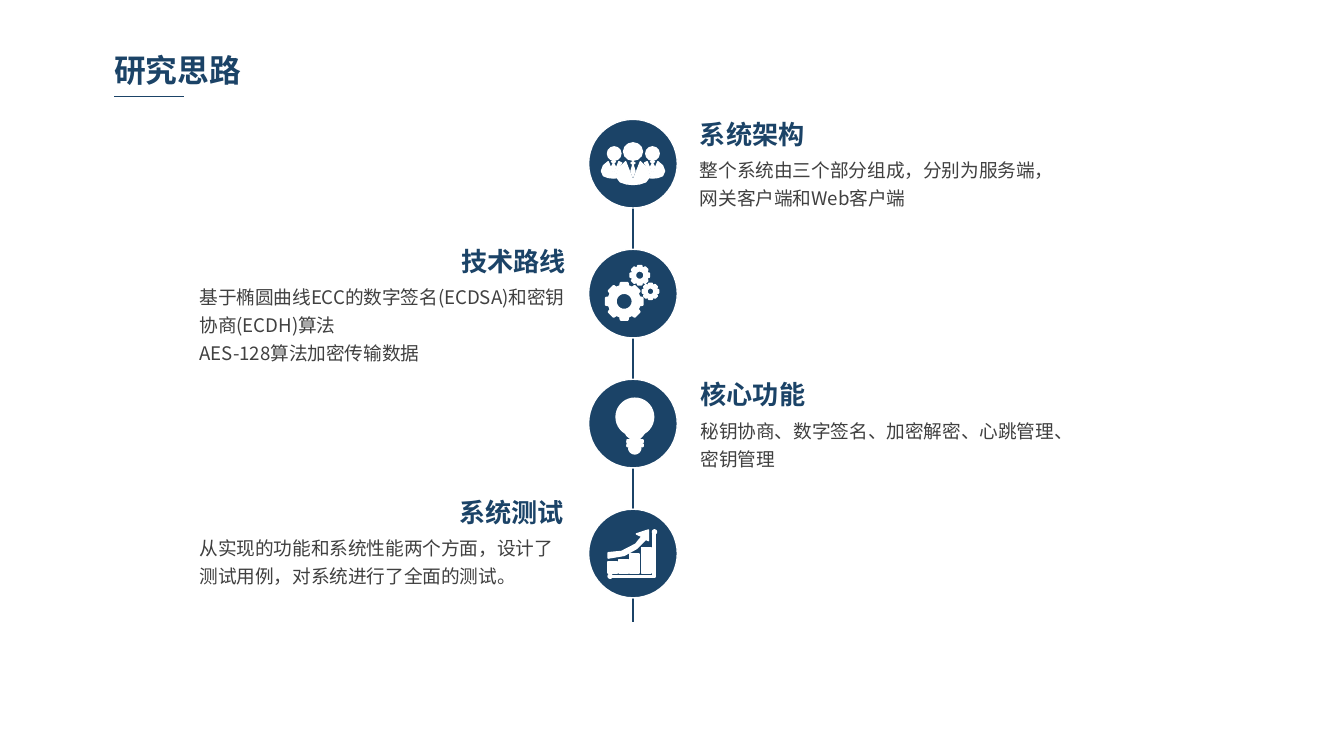
from math import cos, sin, radians

from lxml.etree import SubElement
from pptx import Presentation
from pptx.dml.color import RGBColor
from pptx.enum.shapes import MSO_CONNECTOR, MSO_SHAPE
from pptx.enum.text import MSO_AUTO_SIZE, PP_ALIGN
from pptx.oxml.ns import qn
from pptx.util import Inches, Pt

NAVY = RGBColor(0x1B, 0x43, 0x67)
GRAY = RGBColor(0x40, 0x40, 0x40)
WHITE = RGBColor(0xFF, 0xFF, 0xFF)
FONT = "Noto Sans CJK SC"

prs = Presentation()
prs.slide_width = Inches(10)
prs.slide_height = prs.slide_width * 9 // 16
s = prs.slides.add_slide(prs.slide_layouts[6])

# Square grid: 1000 columns across the slide
U = prs.slide_width // 1000
CX, CY, PITCH, DIAMETER = 471, 121.8, 96.7, 66


def add_text(box, paragraphs, size, color, bold=False, align=PP_ALIGN.LEFT, spacing=None):
    sp = s.shapes.add_textbox(*(int(v * U) for v in box))
    tf = sp.text_frame
    tf.word_wrap = True
    tf.auto_size = MSO_AUTO_SIZE.SHAPE_TO_FIT_TEXT
    tf.text = "\n".join(paragraphs)
    for p in tf.paragraphs:
        p.alignment = align
        p.line_spacing = spacing
        for r in p.runs:
            r.font.size, r.font.bold, r.font.name = Pt(size), bold, FONT
            r.font.color.rgb = color
            SubElement(r.font._element, qn("a:ea"), typeface=FONT)
    return tf


def paint(sp, color=WHITE, weight=0.75):
    sp.shadow.inherit = False
    sp.fill.solid()
    sp.fill.fore_color.rgb = color
    sp.line.color.rgb = WHITE
    sp.line.width = Pt(weight)


# Timeline spine and title rule
for x1, y1, x2, y2 in [(CX, 96, CX, 463), (85, 72, 137, 72)]:
    line = s.shapes.add_connector(MSO_CONNECTOR.STRAIGHT, x1 * U, y1 * U, x2 * U, y2 * U)
    line.line.color.rgb = NAVY
    line.line.width = Pt(0.75)
    SubElement(line._element.spPr, qn("a:effectLst"))

tf = add_text((78, 34, 247, 36), ["研究思路"], 17, NAVY, True)
tf.margin_left = tf.margin_right = 7 * U
tf.margin_top = tf.margin_bottom = 4 * U

# Timeline entries: heading box, heading, body box, body paragraphs
entries = [
    ((511, 85.4, 158, 31), "系统架构", (511, 109, 295, 52),
     ["整个系统由三个部分组成，分别为服务端，网关客户端和Web客户端"]),
    ((286, 180, 145, 31), "技术路线", (138.6, 204, 295, 73),
     ["基于椭圆曲线ECC的数字签名(ECDSA)和密钥协商(ECDH)算法", "AES-128算法加密传输数据"]),
    ((511.4, 279, 171, 31), "核心功能", (511.4, 303, 295, 52),
     ["秘钥协商、数字签名、加密解密、心跳管理、密钥管理"]),
    ((277.6, 367, 152, 31), "系统测试", (138.6, 390.4, 295, 52),
     ["从实现的功能和系统性能两个方面，设计了测试用例，对系统进行了全面的测试。"]),
]
for i, (head_box, heading, body_box, body) in enumerate(entries):
    add_text(body_box, body, 10, GRAY, spacing=Pt(15))
    align = PP_ALIGN.RIGHT if i % 2 else PP_ALIGN.LEFT
    add_text(head_box, [heading], 14, NAVY, True, align, Pt(15))

# Icon parts are given in grid units from the centre of their circle
PEOPLE, GEARS, BULB, CHART = range(4)
OVAL, RECT, ROUND = MSO_SHAPE.OVAL, MSO_SHAPE.RECTANGLE, MSO_SHAPE.ROUNDED_RECTANGLE
presets = [
    (PEOPLE, OVAL, [(-7, -15.5, 14, 13), (-19, -12.5, 10, 10), (9.5, -12.5, 10, 10)]),
    (BULB, ROUND, [(-4.5, 12.1, 12, 2), (-4.5, 15.1, 12, 2)]),
    (CHART, RECT, [(-18.5, 6.4, 7, 8), (-10.5, 4.4, 7, 10), (-2.5, 0.4, 7, 14),
                   (6.5, -4.6, 7, 19)]),
    (CHART, OVAL, [(14.5, -17.6, 3, 3), (-18.5, 15.4, 3, 3)]),
]

side_body = [(-13.5, 9.5), (-11.5, 4), (-8.5, -0.5), (-10.5, -1.5), (-14.5, 8.5),
             (-18.5, -1.5), (-22, 1.5), (-23.5, 5.5), (-22, 9), (-18.5, 10.3),
             (-14.5, 10.7), (-12.5, 10.5)]
front_body = [(12.5, 9.5), (10.8, 4), (5.5, -1.5), (0, 12.5), (-5.5, -1.5),
              (-10.8, 4), (-12.5, 9.5), (-9.5, 13.5), (-5, 15), (0, 15.5),
              (5, 15), (9.5, 13.5)]
globe = [(1.4 + 14 * cos(radians(a)), -4.9 + 14 * sin(radians(a)))
         for a in range(120, 421, 10)]
neck = [(7.1, 9), (5, 11.1), (-2, 11.1), (-4.5, 9)]
cap = [(1.3 + 4.5 * cos(radians(a)), 18.1 + 4.5 * sin(radians(a)))
       for a in range(0, 181, 15)]
arrow = [(11.5, -9.6), (11.5, -17.6), (2.5, -14.6), (6.5, -12.6), (2, -7),
         (-8.5, -1.6), (-18.5, -0.6), (-18.5, 3.4), (-6.5, 1.4), (2.5, -3.6),
         (9.5, -10.6)]
axes = [(15, -15), (16.5, -15), (16.5, 17.4), (-16, 17.4), (-16, 16.4), (15, 16.4)]

# Each outline is a list of contours; a second contour is a hole
outlines = [
    (PEOPLE, [front_body]), (PEOPLE, [side_body]),
    (PEOPLE, [[(-x, y) for x, y in side_body]]),
    (BULB, [globe + neck]), (BULB, [cap]), (CHART, [arrow]), (CHART, [axes]),
]
for x, top, knot, bottom in [(0, -1.5, 0.5, 9.5), (-14.5, -2.5, -0.5, 6.5),
                             (14.5, -2.5, -0.5, 6.5)]:
    outlines.append((PEOPLE, [[(x, top), (x + 1.5, (top + knot) / 2), (x, knot),
                               (x - 1.5, (top + knot) / 2)]]))
    outlines.append((PEOPLE, [[(x, knot), (x + 1.5, bottom - 4), (x, bottom),
                               (x - 1.5, bottom - 4)]]))
for x, y, outer, root, hole in [(-6.5, 5.8, 14, 11.8, 6.2), (5, -13.7, 7.2, 6, 3.3),
                                (13, -1.7, 6, 5, 2.7)]:
    teeth = [(x + r * cos(radians(45 * k + a)), y + r * sin(radians(45 * k + a)))
             for k in range(8)
             for a, r in [(-15, root), (-11, outer), (11, outer), (15, root)]]
    rim = [(x + hole * cos(radians(a)), y + hole * sin(radians(a)))
           for a in range(360, 0, -15)]
    outlines.append((GEARS, [teeth, rim]))

for i in range(len(entries)):
    cy = CY + i * PITCH
    circle = s.shapes.add_shape(OVAL, int((CX - DIAMETER / 2) * U),
                                int((cy - DIAMETER / 2) * U), DIAMETER * U, DIAMETER * U)
    paint(circle, NAVY)
    for icon, kind, boxes in presets:
        for x, y, w, h in boxes if icon == i else []:
            paint(s.shapes.add_shape(kind, int((CX + x) * U), int((cy + y) * U),
                                     int(w * U), int(h * U)))
    for icon, contours in outlines:
        if icon != i:
            continue
        placed = [[((CX + x) * U, (cy + y) * U) for x, y in c] for c in contours]
        builder = s.shapes.build_freeform(*placed[0][0])
        builder.add_line_segments(placed[0][1:], close=True)
        for c in placed[1:]:
            builder.move_to(*c[0])
            builder.add_line_segments(c[1:], close=True)
        paint(builder.convert_to_shape(), weight=1 if icon == GEARS else 0.75)

prs.save("out.pptx")
